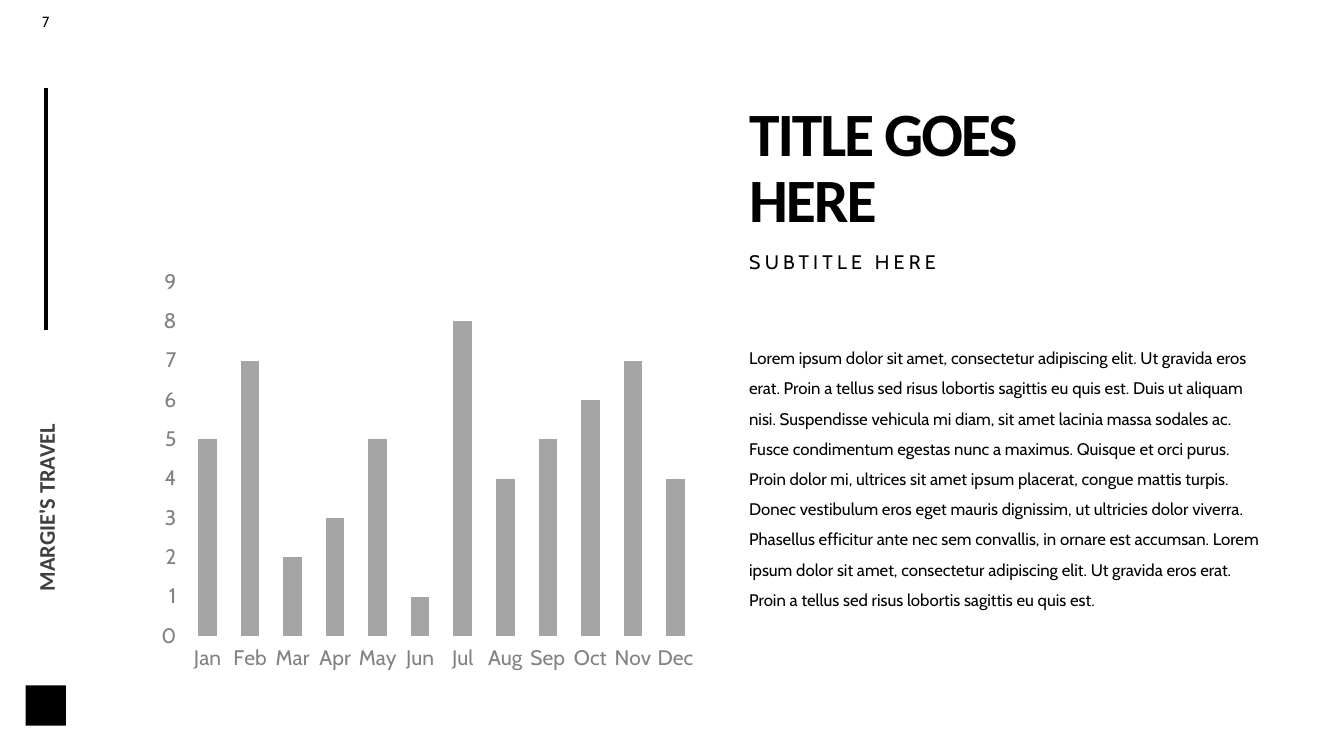
from lxml import etree
from pptx import Presentation
from pptx.chart.data import CategoryChartData
from pptx.dml.color import RGBColor
from pptx.enum.chart import XL_CHART_TYPE, XL_TICK_MARK
from pptx.enum.shapes import MSO_CONNECTOR, MSO_SHAPE
from pptx.enum.text import MSO_ANCHOR, MSO_AUTO_SIZE, PP_ALIGN
from pptx.oxml.ns import qn
from pptx.util import Inches, Pt

COLUMN = XL_CHART_TYPE.COLUMN_CLUSTERED
TICK_OUTSIDE = XL_TICK_MARK.OUTSIDE
STRAIGHT = MSO_CONNECTOR.STRAIGHT
RECTANGLE = MSO_SHAPE.RECTANGLE
TOP, MIDDLE, BOTTOM = MSO_ANCHOR.TOP, MSO_ANCHOR.MIDDLE, MSO_ANCHOR.BOTTOM
LEFT, CENTER = PP_ALIGN.LEFT, PP_ALIGN.CENTER
NO_AUTOFIT = MSO_AUTO_SIZE.NONE

COLORS = {"text": "000000", "company": "3F3F3F", "axis": "828282", "bar": "A5A5A5"}
HEADING_FONT, BODY_FONT = "Calibri", "Cabin"

MONTHS = ["Jan", "Feb", "Mar", "Apr", "May", "Jun",
          "Jul", "Aug", "Sep", "Oct", "Nov", "Dec"]
VALUES = [5, 7, 2, 3, 5, 1, 8, 4, 5, 6, 7, 4]
BODY_TEXT = (
    "Lorem ipsum dolor sit amet, consectetur adipiscing elit. Ut gravida eros erat. "
    "Proin a tellus sed risus lobortis sagittis eu quis est. Duis ut aliquam nisi. "
    "Suspendisse vehicula mi diam, sit amet lacinia massa sodales ac. "
    "Fusce condimentum egestas nunc a maximus. Quisque et orci purus. "
    "Proin dolor mi, ultrices sit amet ipsum placerat, congue mattis turpis. "
    "Donec vestibulum eros eget mauris dignissim, ut ultricies dolor viverra. "
    "Phasellus efficitur ante nec sem convallis, in ornare est accumsan. "
    "Lorem ipsum dolor sit amet, consectetur adipiscing elit. Ut gravida eros erat. "
    "Proin a tellus sed risus lobortis sagittis eu quis est."
)


def rgb(name):
    return RGBColor.from_string(COLORS[name])


def place(shape, left, top, width, height):
    shape.left, shape.top = Inches(left), Inches(top)
    shape.width, shape.height = Inches(width), Inches(height)


def set_text(shape, text, size, font=BODY_FONT, color="text", bold=False, align=LEFT,
             anchor=TOP, inset_left=0.1, line_spacing=1.0, space_before=0, tracking=0):
    frame = shape.text_frame
    frame.word_wrap = True
    frame.auto_size = NO_AUTOFIT
    frame.vertical_anchor = anchor
    frame.margin_left, frame.margin_right = Inches(inset_left), Inches(0.1)
    frame.margin_top = frame.margin_bottom = Inches(0.05)
    paragraph = frame.paragraphs[0]
    paragraph.text = text
    paragraph.alignment = align
    paragraph.line_spacing = line_spacing
    paragraph.space_before = Pt(space_before)
    for run in paragraph.runs:
        run.font.size, run.font.name, run.font.bold = Pt(size), font, bold
        run.font.color.rgb = rgb(color)
        if tracking:
            run.font._element.set("spc", str(int(tracking * 100)))


def remove_bullet(shape):
    properties = shape.text_frame.paragraphs[0]._p.get_or_add_pPr()
    properties.set("marL", "0")
    properties.set("indent", "0")
    etree.SubElement(properties, qn("a:buNone"))


def add_text(slide, box, text, size, **text_format):
    shape = slide.shapes.add_textbox(0, 0, 0, 0)
    place(shape, *box)
    set_text(shape, text, size, **text_format)
    return shape


def add_sidebar(slide, left, top, width, height):
    center = left + width / 2
    # Page number
    add_text(slide, (left, top, width, 0.27), "7", 10.5, align=CENTER)
    # Vertical rule
    rule = slide.shapes.add_connector(STRAIGHT, Inches(center), Inches(top + 0.79),
                                      Inches(center), Inches(top + 3.19))
    rule.line.width = Pt(3)
    rule.line.color.rgb = rgb("text")
    etree.SubElement(rule._element.spPr, qn("a:effectLst"))
    # Company name, read upwards
    company = add_text(slide, (center - 1.2, top + 4.53, 2.4, 0.31), "MARGIE'S TRAVEL", 16,
                       font=HEADING_FONT, color="company", bold=True, anchor=MIDDLE)
    company.rotation = 270
    # Plain block at the foot
    block = slide.shapes.add_shape(RECTANGLE, Inches(center - 0.2),
                                   Inches(top + height - 0.4), Inches(0.4), Inches(0.4))
    block.shadow.inherit = False
    block.fill.solid()
    block.fill.fore_color.rgb = rgb("text")
    block.line.fill.background()


def add_month_chart(slide, left, top, width, height):
    data = CategoryChartData()
    data.categories = MONTHS
    data.add_series("Series 1", VALUES)
    chart = slide.shapes.add_chart(COLUMN, Inches(left), Inches(top), Inches(width),
                                   Inches(height), data).chart
    chart.has_legend = chart.has_title = False
    chart.font.size, chart.font.name = Pt(15), BODY_FONT
    # Bars
    plot = chart.plots[0]
    plot.gap_width = 129
    plot.vary_by_categories = False
    fill = plot.series[0].format.fill
    fill.solid()
    fill.fore_color.rgb = rgb("bar")
    # Axes
    for axis in (chart.category_axis, chart.value_axis):
        axis.has_major_gridlines = False
        axis.major_tick_mark = TICK_OUTSIDE
        axis.format.line.fill.background()
        font = axis.tick_labels.font
        font.size, font.name = Pt(15), BODY_FONT
        font.color.rgb = rgb("axis")
    chart.value_axis.minimum_scale, chart.value_axis.maximum_scale = 0, 9
    chart.value_axis.major_unit = 1


def fill_text_column(slide, left, top, width, height):
    title, subtitle, body = slide.placeholders
    # Title
    place(title, left, top, width, 1.47)
    set_text(title, "TITLE GOES\vHERE", 44, font=HEADING_FONT, bold=True, anchor=BOTTOM,
             inset_left=0, line_spacing=0.9, tracking=-1.5)
    # Subtitle
    place(subtitle, left, top + 1.54, width, 0.66)
    set_text(subtitle, "SUBTITLE HERE", 14, inset_left=0, line_spacing=0.9,
             space_before=10, tracking=3)
    # Body
    place(body, left, top + 2.38, width, height - 2.38)
    set_text(body, BODY_TEXT, 12, inset_left=0, line_spacing=1.5, space_before=10)
    for shape in (subtitle, body):
        remove_bullet(shape)


def main():
    presentation = Presentation()
    presentation.slide_width, presentation.slide_height = Inches(13.33), Inches(7.5)
    two_content = presentation.slide_layouts[3]
    slide = presentation.slides.add_slide(two_content)
    add_sidebar(slide, 0.17, 0.08, 0.57, 7.12)
    add_month_chart(slide, 1.49, 2.59, 5.53, 4.15)
    fill_text_column(slide, 7.43, 0.92, 5.21, 5.77)
    presentation.save("out.pptx")


if __name__ == "__main__":
    main()
